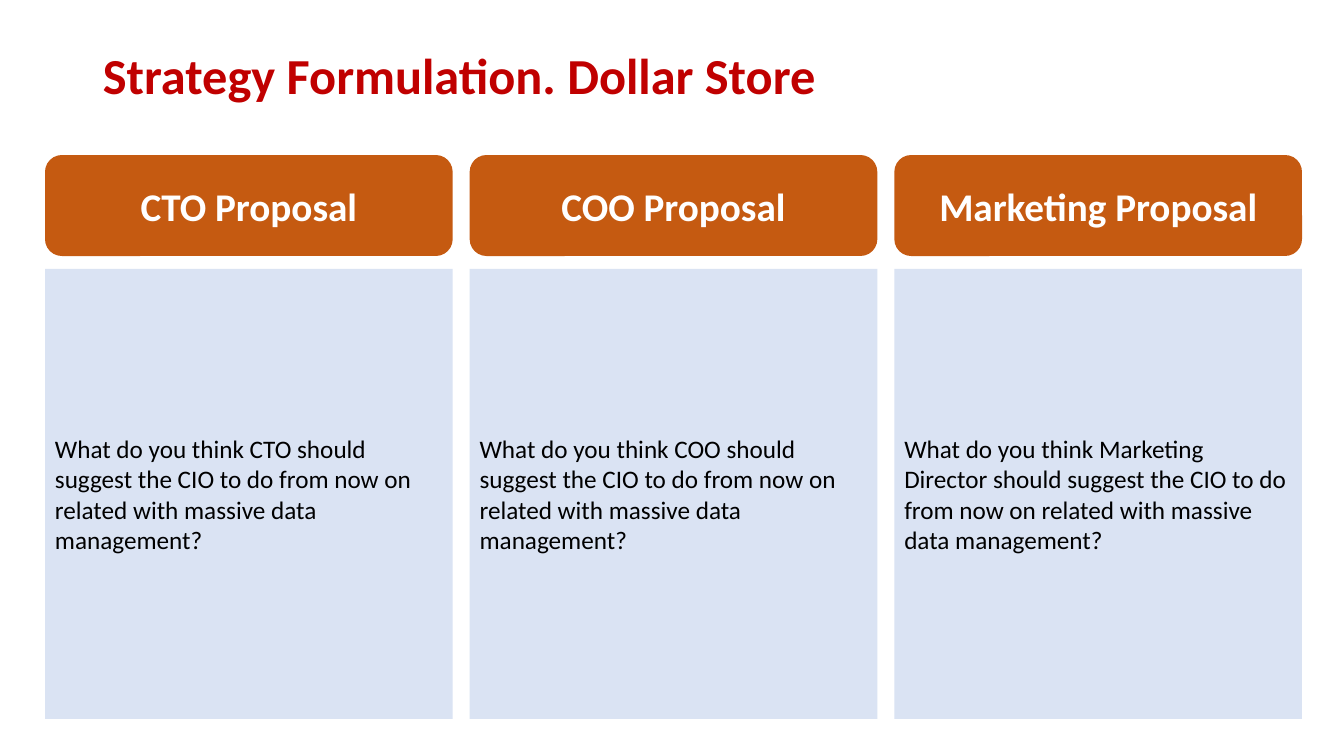
from pptx import Presentation
from pptx.dml.color import RGBColor
from pptx.enum.shapes import MSO_SHAPE
from pptx.enum.text import MSO_ANCHOR, PP_ALIGN
from pptx.util import Pt

PX = 914400 / 100.8  # EMU per pixel

TITLE_FORMAT = {"size": Pt(36), "bold": True}
HEADING_FORMAT = {"size": Pt(28), "bold": True}
QUESTION_FORMAT = {"size": Pt(18), "bold": False}

PROPOSALS = [("CTO", "CTO"), ("COO", "COO"), ("Marketing", "Marketing Director")]


def emu(*pixels):
    return [round(length * PX) for length in pixels]


def color(hex_value):
    return RGBColor.from_string(hex_value)


def write(part, wording, ink, font_format, align=PP_ALIGN.LEFT, line_spacing=1.0):
    frame = part.text_frame
    frame.word_wrap = True
    frame.vertical_anchor = MSO_ANCHOR.MIDDLE
    paragraph = frame.paragraphs[0]
    paragraph.alignment = align
    paragraph.line_spacing = line_spacing
    run = paragraph.add_run()
    run.text = wording
    run.font.name = "Calibri"
    run.font.color.rgb = color(ink)
    for attribute, value in font_format.items():
        setattr(run.font, attribute, value)


def add_panel(slide, preset, box, fill):
    panel = slide.shapes.add_shape(preset, *emu(*box))
    panel.shadow.inherit = False
    panel.fill.solid()
    panel.fill.fore_color.rgb = color(fill)
    panel.line.fill.background()
    return panel


def add_title(slide, box):
    title = slide.shapes.add_textbox(*emu(*box))
    write(title, "Strategy Formulation. Dollar Store", "C00000", TITLE_FORMAT,
          line_spacing=0.9)


def add_proposal(slide, box, area, advisor):
    left, top, width, height = box
    heading_height, gap = 101, 13
    # Heading
    heading = add_panel(slide, MSO_SHAPE.ROUNDED_RECTANGLE,
                        (left, top, width, heading_height), "C55A11")
    write(heading, f"{area} Proposal", "FFFFFF", HEADING_FORMAT, PP_ALIGN.CENTER)
    # Question
    offset = heading_height + gap
    question = add_panel(slide, MSO_SHAPE.RECTANGLE,
                         (left, top + offset, width, height - offset), "DAE3F3")
    write(question, f"What do you think {advisor} should suggest the CIO to do "
          "from now on related with massive data management?",
          "000000", QUESTION_FORMAT)


def add_proposals(slide, box):
    left, top, width, height = box
    gap = 17
    column_width = (width - gap * (len(PROPOSALS) - 1)) / len(PROPOSALS)
    for index, (area, advisor) in enumerate(PROPOSALS):
        column_left = left + index * (column_width + gap)
        add_proposal(slide, (column_left, top, column_width, height), area, advisor)


deck = Presentation()
deck.slide_width, deck.slide_height = emu(1344, 756)
strategy = deck.slides.add_slide(deck.slide_layouts[6])
add_title(strategy, (93, 40, 1159, 76))
add_proposals(strategy, (45, 155, 1257, 564))
deck.save("out.pptx")
